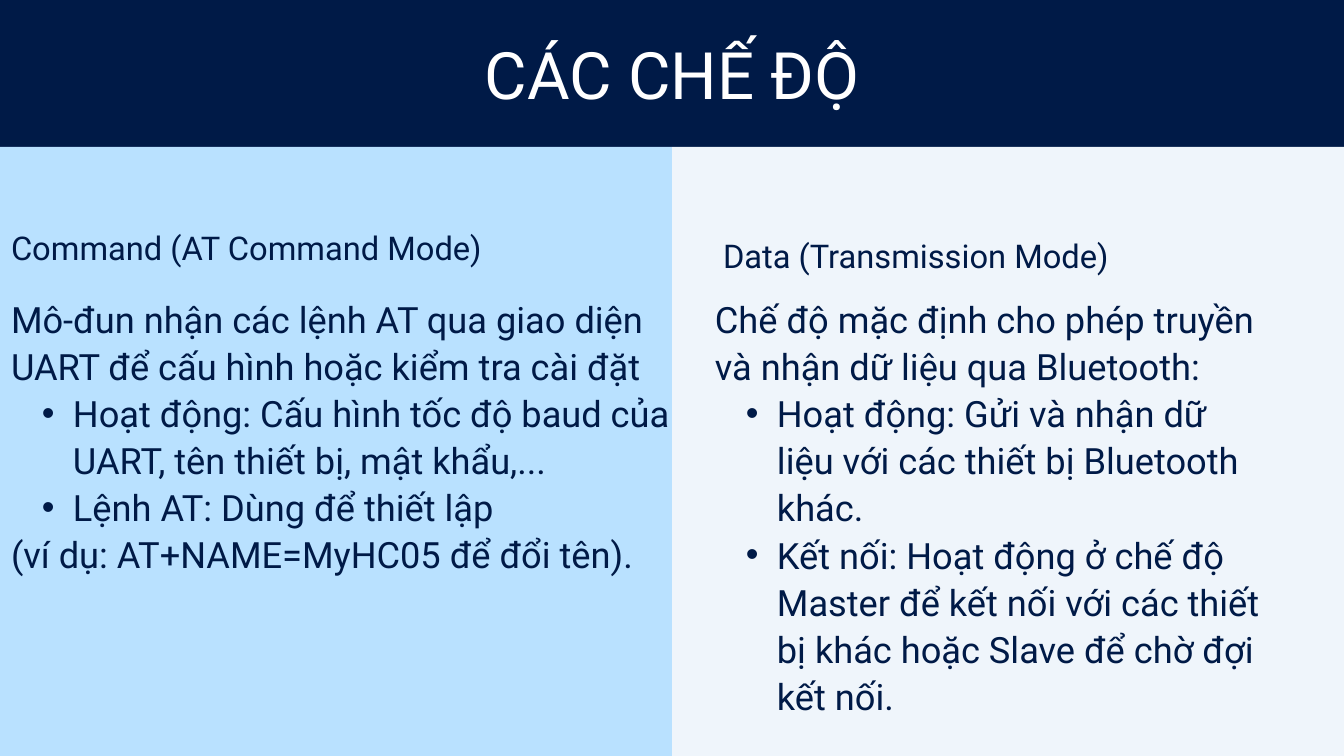
from lxml.etree import SubElement
from pptx import Presentation
from pptx.dml.color import RGBColor
from pptx.enum.shapes import MSO_SHAPE
from pptx.enum.text import PP_ALIGN
from pptx.oxml.ns import qn
from pptx.util import Pt

SCALE = 914400 / 67.2  # EMU in one px
WIDTH, HEIGHT, HEADER = 1344, 756, 147
INDENT, HANGING = 62, 31
FONT = "Roboto"
COLORS = {"navy": "001A47", "sky": "B9E1FF", "mist": "EFF5FB", "white": "FFFFFF"}

COMMAND_MODE = [
    ("Mô-đun nhận các lệnh AT qua giao diện UART để cấu hình hoặc kiểm tra cài đặt", False),
    ("Hoạt động: Cấu hình tốc độ baud của UART, tên thiết bị, mật khẩu,...", True),
    ("Lệnh AT: Dùng để thiết lập", True),
    ("(ví dụ: AT+NAME=MyHC05 để đổi tên).", False),
]
DATA_MODE = [
    ("Chế độ mặc định cho phép truyền và nhận dữ liệu qua Bluetooth:", False),
    ("Hoạt động: Gửi và nhận dữ liệu với các thiết bị Bluetooth khác.", True),
    ("Kết nối: Hoạt động ở chế độ Master để kết nối với các thiết bị khác "
     "hoặc Slave để chờ đợi kết nối.", True),
]


def px(value):
    return round(value * SCALE)


def color(name):
    return RGBColor.from_string(COLORS[name])


def add_bullet(paragraph):
    properties = paragraph._p.get_or_add_pPr()
    properties.set("marL", str(px(INDENT)))
    properties.set("indent", str(-px(HANGING)))
    SubElement(properties, qn("a:buFont")).set("typeface", "Arial")
    SubElement(properties, qn("a:buChar")).set("char", "•")


def add_text(slide, box, lines, *, size, spacing, fill="navy", align=PP_ALIGN.LEFT):
    """Write (text, bulleted) lines into a box without margins."""
    frame = slide.shapes.add_textbox(*map(px, box)).text_frame
    frame.word_wrap = True
    frame.margin_left = frame.margin_top = frame.margin_right = frame.margin_bottom = 0
    for index, (text, bulleted) in enumerate(lines):
        paragraph = frame.add_paragraph() if index else frame.paragraphs[0]
        if bulleted:
            add_bullet(paragraph)
        paragraph.alignment = align
        paragraph.line_spacing = Pt(spacing)
        run = paragraph.add_run()
        run.text = text
        run.font.name = FONT
        run.font.size = Pt(size)
        run.font.color.rgb = color(fill)


def add_header(slide, box, title):
    left, top, width, height = box
    add_text(slide, (left + 240, top + 47, width - 480, 68), [(title, False)],
             size=70, spacing=70, fill="white", align=PP_ALIGN.CENTER)


def add_mode_panel(slide, box, fill, heading, heading_at, body, body_box):
    """Colour a panel and place its heading and body relative to it."""
    left, top, width, height = box
    panel = slide.shapes.add_shape(MSO_SHAPE.RECTANGLE, *map(px, box))
    panel.shadow.inherit = False
    panel.fill.solid()
    panel.fill.fore_color.rgb = color(fill)
    panel.line.fill.background()

    heading_left, heading_top = heading_at
    add_text(slide, (left + heading_left, top + heading_top, 507, 40),
             [(heading, False)], size=35, spacing=45.5)
    body_left, body_top, body_width, body_height = body_box
    add_text(slide, (left + body_left, top + body_top, body_width, body_height),
             body, size=38.8, spacing=50.4)


def main():
    presentation = Presentation()
    presentation.slide_width, presentation.slide_height = px(WIDTH), px(HEIGHT)
    slide = presentation.slides.add_slide(presentation.slide_layouts[6])
    slide.background.fill.solid()
    slide.background.fill.fore_color.rgb = color("navy")

    # Title band
    add_header(slide, (0, 0, WIDTH, HEADER), "CÁC CHẾ ĐỘ")

    # Two modes side by side
    half, panel_height = WIDTH // 2, HEIGHT - HEADER
    add_mode_panel(slide, (half, HEADER, half, panel_height), "mist",
                   "Data (Transmission Mode)", (51, 86), DATA_MODE, (43, 147, 554, 462))
    add_mode_panel(slide, (0, HEADER, half, panel_height), "sky",
                   "Command (AT Command Mode)", (11, 78), COMMAND_MODE, (11, 147, 659, 374))

    presentation.save("out.pptx")


if __name__ == "__main__":
    main()
